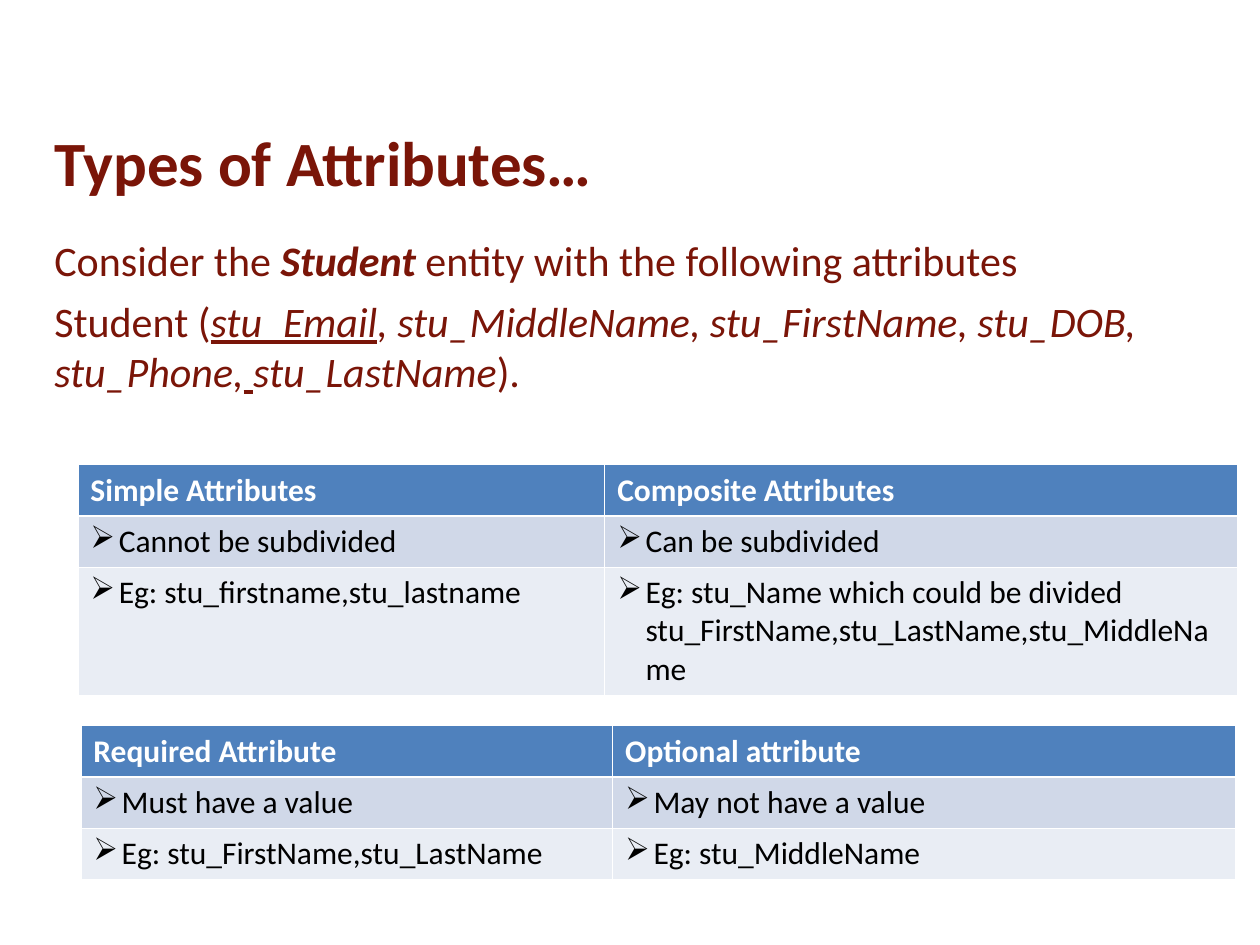
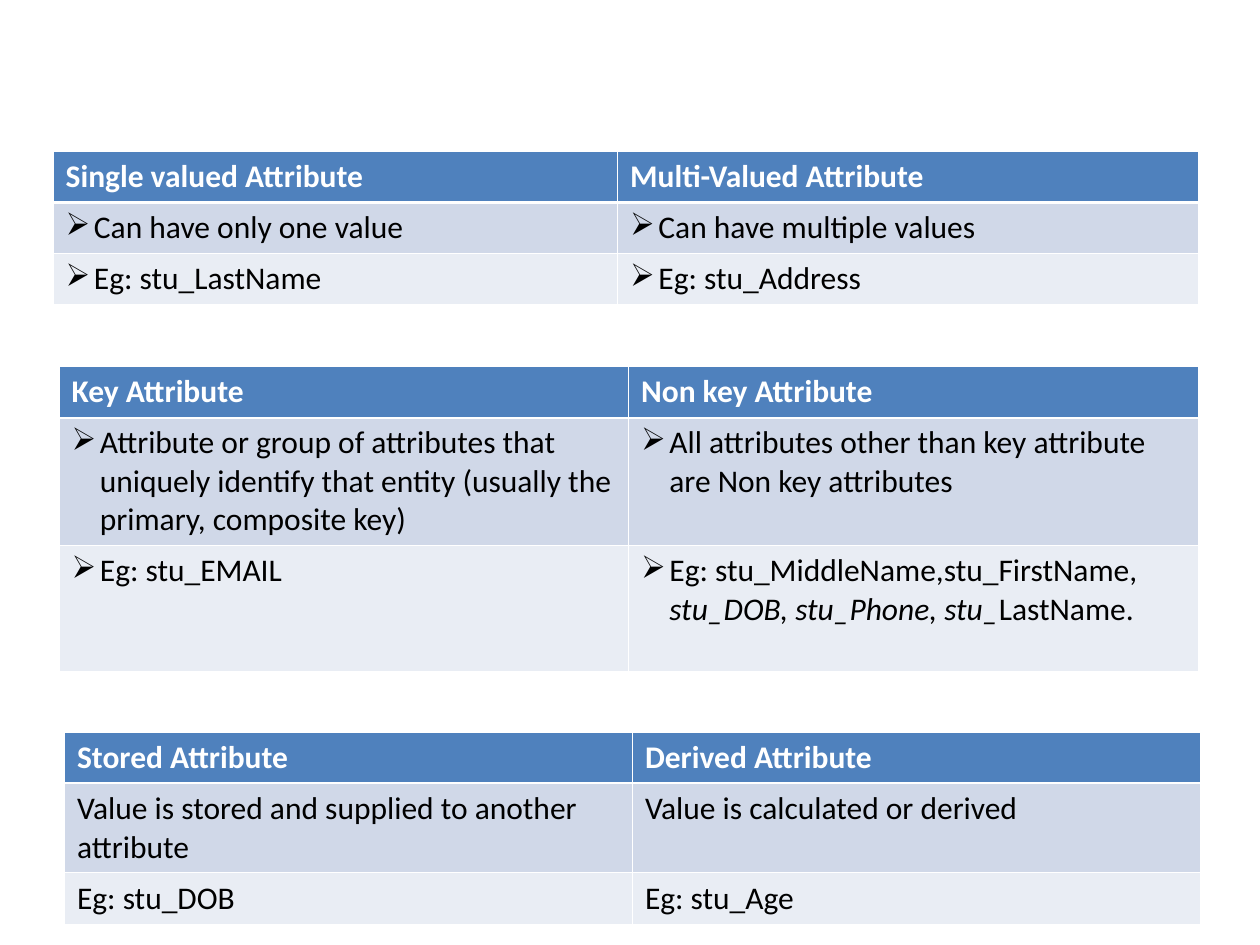
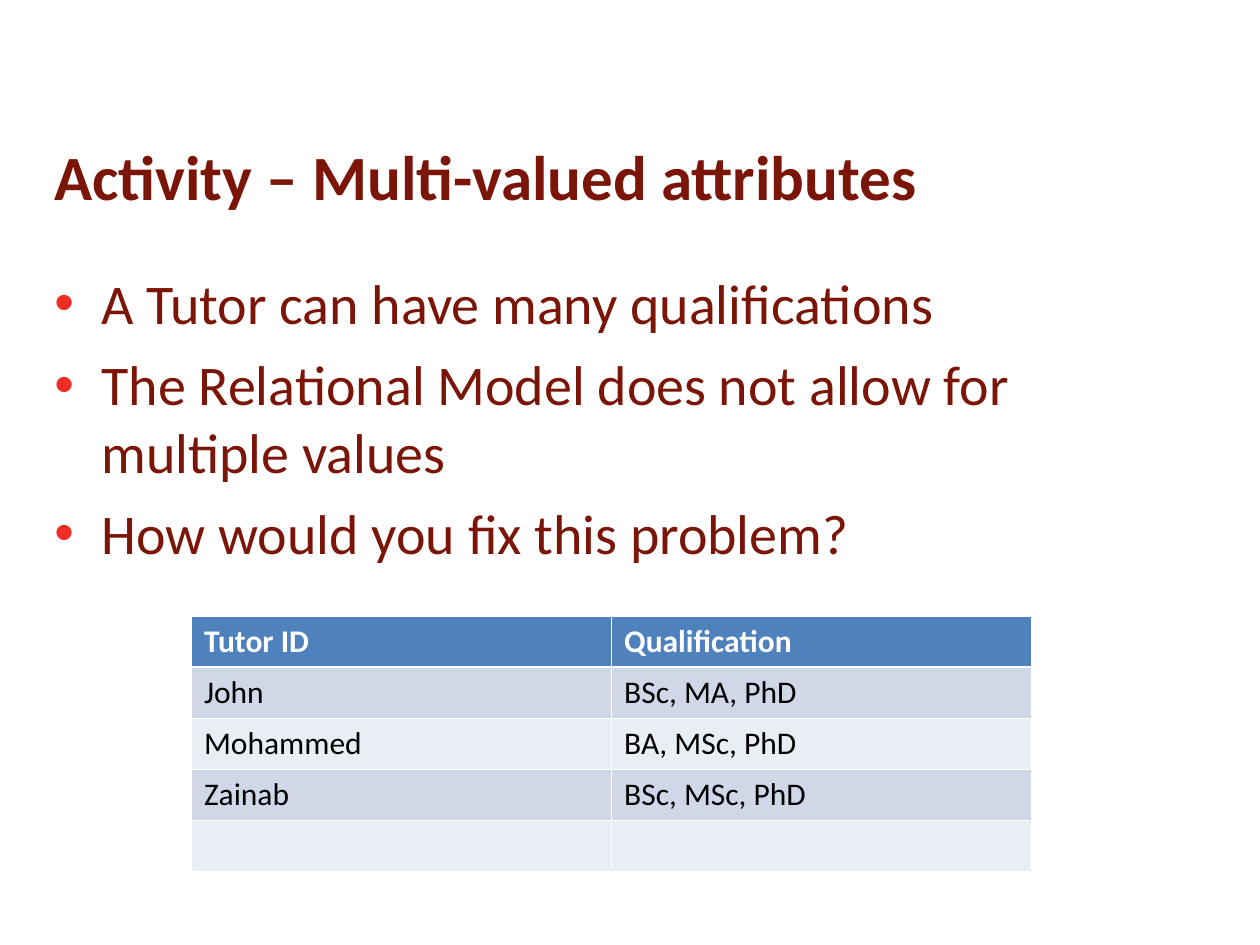
import pptx
import pptx.dml.color
import pptx.enum.text
import pptx.oxml
import pptx.oxml.ns
import pptx.util
from pptx.dml.color import RGBColor
from pptx.util import Cm

# Shared look
FONT = "Calibri"
MAROON = RGBColor(0x7A, 0x15, 0x08)
RED = RGBColor(0xEE, 0x2D, 0x24)
BLUE = RGBColor(0x4F, 0x81, 0xBD)
BAND_DARK = RGBColor(0xD0, 0xD8, 0xE8)
BAND_LIGHT = RGBColor(0xE9, 0xED, 0xF4)
WHITE = RGBColor(0xFF, 0xFF, 0xFF)
BLACK = RGBColor(0, 0, 0)

THIN, THICK = 0.45, 1.47
MARGIN = Cm(0.84)
TITLE_WIDTH, TITLE_HEIGHT = Cm(23.29), Cm(2.84)
ROW = 1.03
CONTENT_LAYOUT, BLANK_LAYOUT = 1, 6


def add_xml(parent, xml):
    """Append a drawing element written as short XML."""
    namespace = pptx.oxml.ns.nsdecls("a")
    parent.append(pptx.oxml.parse_xml(xml.replace(" ", f" {namespace} ", 1)))


def write_spans(para, spans, size, color, bold=False):
    """Fill a paragraph from a string or from (text, style letters) pairs."""
    if isinstance(spans, str):
        spans = [(spans, "")]
    for text, style in spans:
        span = para.add_run()
        span.text = text
        font = span.font
        font.name = FONT
        font.size = pptx.util.Pt(size)
        font.color.rgb = color
        font.bold = bold or "b" in style
        font.italic = "i" in style
        font.underline = "u" in style


def set_bullet(para, char, color, indent):
    """Give a paragraph a hanging bullet, or none when char is empty."""
    properties = para._p.get_or_add_pPr()
    properties.set("marL", str(indent))
    properties.set("indent", str(-indent))
    if char:
        add_xml(properties, f'<a:buClr ><a:srgbClr val="{color}"/></a:buClr>')
        add_xml(properties, f'<a:buChar char="{char}"/>')
    else:
        add_xml(properties, "<a:buNone />")


def place(box, left, top, width, height):
    box.left, box.top, box.width, box.height = left, top, width, height


def add_title(page, text, top):
    title = page.shapes.title
    place(title, MARGIN, top, TITLE_WIDTH, TITLE_HEIGHT)
    frame = title.text_frame
    frame.auto_size = pptx.enum.text.MSO_AUTO_SIZE.NONE
    frame.vertical_anchor = pptx.enum.text.MSO_ANCHOR.MIDDLE
    para = frame.paragraphs[0]
    para.alignment = pptx.enum.text.PP_ALIGN.LEFT
    write_spans(para, text, 36, MAROON, bold=True)


def add_body(page, paragraphs, box, size, space, char="", indent=0):
    body = page.placeholders[1]
    place(body, *box)
    frame = body.text_frame
    frame.auto_size = pptx.enum.text.MSO_AUTO_SIZE.NONE
    for index, spans in enumerate(paragraphs):
        para = frame.add_paragraph() if index else frame.paragraphs[0]
        para.space_before = pptx.util.Pt(space)
        set_bullet(para, char, RED, indent)
        write_spans(para, spans, size, MAROON)


def set_borders(cell, row):
    """Thin white rules, with a thick one under the heading row."""
    widths = {"lnL": THIN, "lnR": THIN,
              "lnT": THICK if row == 1 else THIN,
              "lnB": THICK if row == 0 else THIN}
    for side, points in widths.items():
        add_xml(cell._tc.get_or_add_tcPr(),
                f'<a:{side} w="{pptx.util.Pt(points)}"><a:solidFill>'
                f'<a:srgbClr val="{WHITE}"/></a:solidFill></a:{side}>')


def add_grid(page, left, top, widths, heights, rows, bullets=True):
    """Table with a blue heading row and two alternating bands."""
    table = page.shapes.add_table(
        len(rows), len(widths), Cm(left), Cm(top),
        Cm(sum(widths)), Cm(sum(heights))).table
    for column, width in zip(table.columns, widths):
        column.width = Cm(width)
    for number, (height, texts) in enumerate(zip(heights, rows)):
        table.rows[number].height = Cm(height)
        heading = number == 0
        band = BAND_DARK if number % 2 else BAND_LIGHT
        for column, spans in enumerate(texts):
            cell = table.cell(number, column)
            set_borders(cell, number)
            cell.fill.solid()
            cell.fill.fore_color.rgb = BLUE if heading else band
            para = cell.text_frame.paragraphs[0]
            para.font.size = pptx.util.Pt(18)
            if bullets and not heading:
                set_bullet(para, "➢", BLACK, Cm(0.57))
            if spans:
                write_spans(para, spans, 18, WHITE if heading else BLACK, heading)


def build_types(deck):
    page = deck.slides.add_slide(deck.slide_layouts[CONTENT_LAYOUT])
    add_title(page, "Types of Attributes…", Cm(1.83))
    add_body(page, [
        [("Consider the ", ""), ("Student ", "bi"),
         ("entity with the following attributes", "")],
        [("Student (", ""), ("stu_Email", "iu"),
         (", stu_MiddleName, stu_FirstName, stu_DOB, stu_Phone,", "i"),
         (" ", "iu"), ("stu_LastName", "i"), (").", "")],
    ], (MARGIN, Cm(4.6), Cm(24.56), Cm(12.5)), size=24, space=6)
    add_grid(page, 1.57, 9.37, [10.62, 12.75], [ROW, ROW, 1.78], [
        ["Simple Attributes", "Composite Attributes"],
        ["Cannot be subdivided", "Can be subdivided"],
        ["Eg: stu_firstname,stu_lastname",
         "Eg: stu_Name which could be divided "
         "stu_FirstName,stu_LastName,stu_MiddleName"],
    ])
    add_grid(page, 1.63, 14.63, [10.72, 12.55], [ROW] * 3, [
        ["Required Attribute", "Optional attribute"],
        ["Must have a value", "May not have a value"],
        ["Eg: stu_FirstName,stu_LastName", "Eg: stu_MiddleName"],
    ])


def build_comparisons(deck):
    page = deck.slides.add_slide(deck.slide_layouts[BLANK_LAYOUT])
    add_grid(page, 1.07, 3.05, [11.38, 11.71], [ROW] * 3, [
        ["Single valued Attribute", "Multi-Valued Attribute"],
        ["Can have only one value", "Can have multiple values"],
        ["Eg: stu_LastName", "Eg: stu_Address"],
    ])
    add_grid(page, 1.19, 7.39, [11.48] * 2, [ROW, 2.54, 2.54], [
        ["Key Attribute", "Non key Attribute"],
        ["Attribute or group of attributes that uniquely identify that entity "
         "(usually the primary, composite key)",
         "All attributes other than key attribute are Non key attributes"],
        ["Eg: stu_EMAIL",
         [("Eg: stu_MiddleName,stu_FirstName,", ""),
          (" stu_DOB, stu_Phone, stu_", "i"), ("LastName.", "")]],
    ])
    add_grid(page, 1.3, 14.76, [11.45] * 2, [ROW, 1.78, ROW], [
        ["Stored Attribute", "Derived Attribute"],
        ["Value is stored and supplied to another attribute",
         "Value is calculated or derived"],
        ["Eg: stu_DOB", "Eg: stu_Age"],
    ], bullets=False)


def build_activity(deck):
    page = deck.slides.add_slide(deck.slide_layouts[CONTENT_LAYOUT])
    add_title(page, "Activity – Multi-valued attributes", Cm(2.12))
    add_body(page, [
        "A Tutor can have many qualifications",
        "The Relational Model does not allow for multiple values",
        "How would you fix this problem?",
    ], (MARGIN, Cm(5.29), TITLE_WIDTH, Cm(11.73)), size=32, space=8,
        char="•", indent=Cm(0.95))
    add_grid(page, 3.86, 12.42, [8.47] * 2, [ROW] * 5, [
        ["Tutor ID", "Qualification"],
        ["John", "BSc, MA, PhD"],
        ["Mohammed", "BA, MSc, PhD"],
        ["Zainab", "BSc, MSc, PhD"],
        ["", ""],
    ], bullets=False)


def main():
    deck = pptx.Presentation()
    deck.slide_width, deck.slide_height = Cm(25.4), Cm(19.05)
    build_types(deck)
    build_comparisons(deck)
    build_activity(deck)
    deck.save("out.pptx")


if __name__ == "__main__":
    main()
